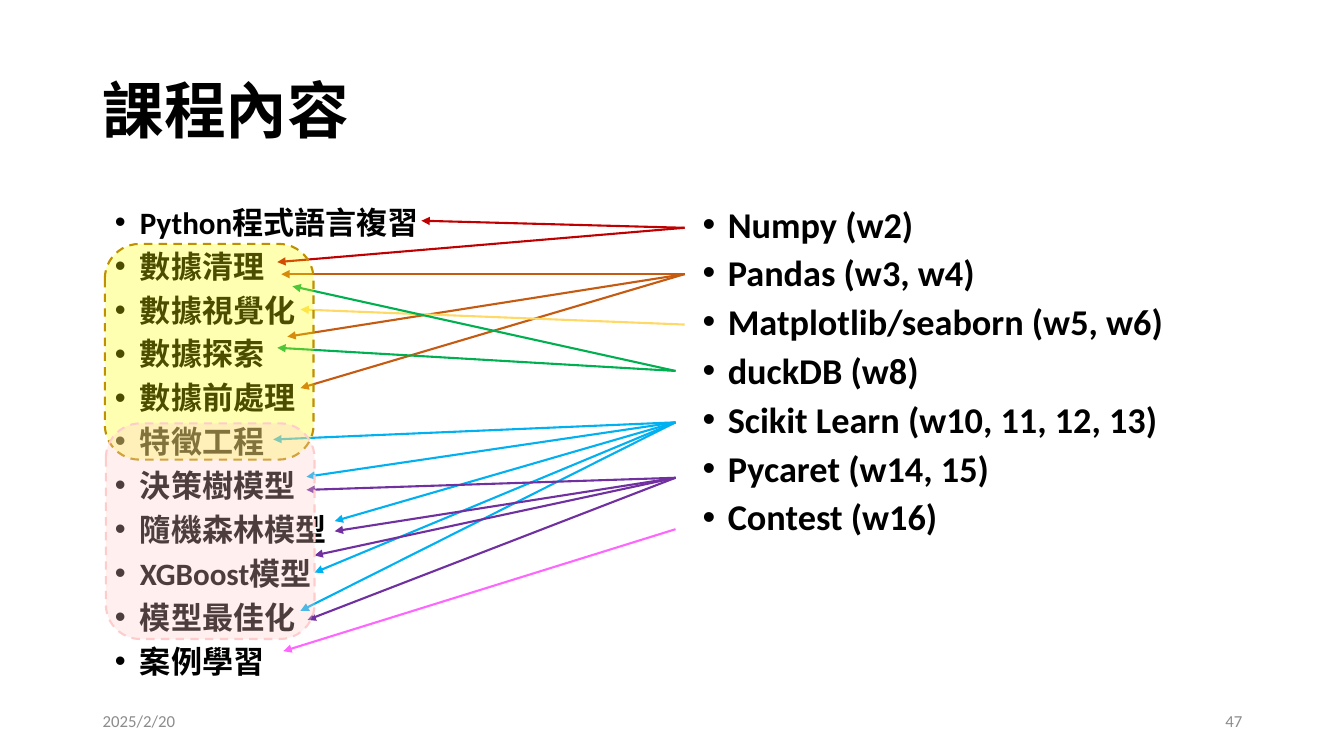
import pptx
import pptx.util
import pptx.dml.color
import pptx.enum.dml
import pptx.enum.shapes
import pptx.enum.text
import pptx.oxml
import pptx.oxml.ns
from lxml import etree

THEME = {
    "font": "Calibri", "text": "000000", "muted": "8C8C8C",
    "title_size": 44, "topic_size": 22.2, "tool_size": 25.9, "footer_size": 12,
    "line_width": 1.5, "paragraph_gap": 10,
    "red": "C00000", "brown": "C55A11", "gold": "FFD966", "green": "00B050",
    "blue": "00B0F0", "purple": "7030A0", "magenta": "FF66FF",
    "yellow": "FFFF00", "dark_gold": "BF9000", "pink": "FFCCCC",
}
ALIGN = pptx.enum.text.PP_ALIGN
ANCHOR = pptx.enum.text.MSO_ANCHOR

presentation = pptx.Presentation()
presentation.slide_width = pptx.util.Inches(13.33)
presentation.slide_height = pptx.util.Inches(7.5)
slide = presentation.slides.add_slide(presentation.slide_layouts[6])

# Grid: 13.33 columns by 7.5 rows
column = presentation.slide_width / 13.33
row = presentation.slide_height / 7.5


def place(left, top, width, height):
    return [int(left * column), int(top * row), int(width * column), int(height * row)]


def add_text(box, lines, size, color, bold=False, align=ALIGN.LEFT,
             anchor=ANCHOR.MIDDLE, spacing=1.0, bullets=False):
    text_frame = slide.shapes.add_textbox(*place(*box)).text_frame
    text_frame.word_wrap = True
    text_frame.vertical_anchor = anchor
    text_frame.text = "\n".join(lines)
    for index, paragraph in enumerate(text_frame.paragraphs):
        if bullets:
            properties = paragraph._p.get_or_add_pPr()
            properties.set("marL", str(pptx.util.Inches(0.25)))
            properties.set("indent", str(-pptx.util.Inches(0.25)))
            etree.SubElement(properties, pptx.oxml.ns.qn("a:buFont"), typeface="Arial")
            etree.SubElement(properties, pptx.oxml.ns.qn("a:buChar"), char="•")
            paragraph.space_before = pptx.util.Pt(THEME["paragraph_gap"] if index else 0)
        paragraph.alignment = align
        paragraph.line_spacing = spacing
        for run in paragraph.runs:
            run.font.name = THEME["font"]
            run.font.size = pptx.util.Pt(size)
            run.font.bold = bold
            run.font.color.rgb = pptx.dml.color.RGBColor.from_string(color)


# Title and footer
add_text((0.92, 0.4, 11.5, 1.45), ["課程內容"], THEME["title_size"], THEME["text"],
         bold=True, spacing=0.9)
add_text((0.92, 6.95, 3, 0.4), ["2025/2/20"], THEME["footer_size"], THEME["muted"])
add_text((9.42, 6.95, 3, 0.4), ["47"], THEME["footer_size"], THEME["muted"],
         align=ALIGN.RIGHT)

# Topics on the left, tools on the right
topics = ["Python程式語言複習", "數據清理", "數據視覺化", "數據探索", "數據前處理", "特徵工程",
          "決策樹模型", "隨機森林模型", "XGBoost模型", "模型最佳化", "案例學習"]
tools = ["Numpy (w2)", "Pandas (w3, w4)", "Matplotlib/seaborn (w5, w6)", "duckDB (w8)",
         "Scikit Learn (w10, 11, 12, 13)", "Pycaret (w14, 15)", "Contest (w16)"]
for left, lines, size, line_height in [
    (1.04, topics, THEME["topic_size"], 21.35),
    (6.87, tools, THEME["tool_size"], 24.85),
]:
    add_text((left, 2.04, 5.67, 4.76), lines, size, THEME["text"], bold=True,
             anchor=ANCHOR.TOP, spacing=pptx.util.Pt(line_height), bullets=True)

# Arrows fanning out from each tool to its topics
fans = [
    ("red", (6.79, 2.26), [(4.18, 2.19), (2.75, 2.6)]),
    ("brown", (6.79, 2.72), [(2.79, 2.72), (2.85, 3.34), (2.98, 3.85)]),
    ("gold", (6.79, 3.22), [(2.98, 3.07)]),
    ("green", (6.7, 3.68), [(2.9, 2.84), (2.75, 3.45)]),
    ("blue", (6.7, 4.19), [(2.71, 4.36), (3.04, 4.73), (3.32, 5.17), (3.12, 5.68),
                           (2.98, 6.06)]),
    ("purple", (6.7, 4.74), [(3.04, 4.86), (3.32, 5.27), (3.12, 5.51), (3.05, 6.15)]),
    ("magenta", (6.7, 5.25), [(2.81, 6.46)]),
]
for color, start, ends in fans:
    for end in ends:
        arrow = slide.shapes.add_connector(
            pptx.enum.shapes.MSO_CONNECTOR.STRAIGHT, *place(*start, *end))
        arrow.line.width = pptx.util.Pt(THEME["line_width"])
        arrow.line.color.rgb = pptx.dml.color.RGBColor.from_string(THEME[color])
        etree.SubElement(arrow.line._get_or_add_ln(), pptx.oxml.ns.qn("a:tailEnd"),
                         type="triangle")
        etree.SubElement(arrow._element.spPr, pptx.oxml.ns.qn("a:effectLst"))

# Translucent groups over the topics
for left, top, fill, outline in [
    (1.04, 2.42, "yellow", "dark_gold"),
    (1.05, 4.2, "pink", "pink"),
]:
    group = slide.shapes.add_shape(
        pptx.enum.shapes.MSO_SHAPE.ROUNDED_RECTANGLE, *place(left, top, 2.07, 2.14))
    group.shadow.inherit = False
    group.fill.solid()
    group.fill.fore_color.rgb = pptx.dml.color.RGBColor.from_string(THEME[fill])
    fill_color = group._element.spPr.find(".//" + pptx.oxml.ns.qn("a:srgbClr"))
    etree.SubElement(fill_color, pptx.oxml.ns.qn("a:alpha"), val="30000")
    group.line.color.rgb = pptx.dml.color.RGBColor.from_string(THEME[outline])
    group.line.width = pptx.util.Pt(THEME["line_width"])
    group.line.dash_style = pptx.enum.dml.MSO_LINE.DASH

presentation.save("out.pptx")
